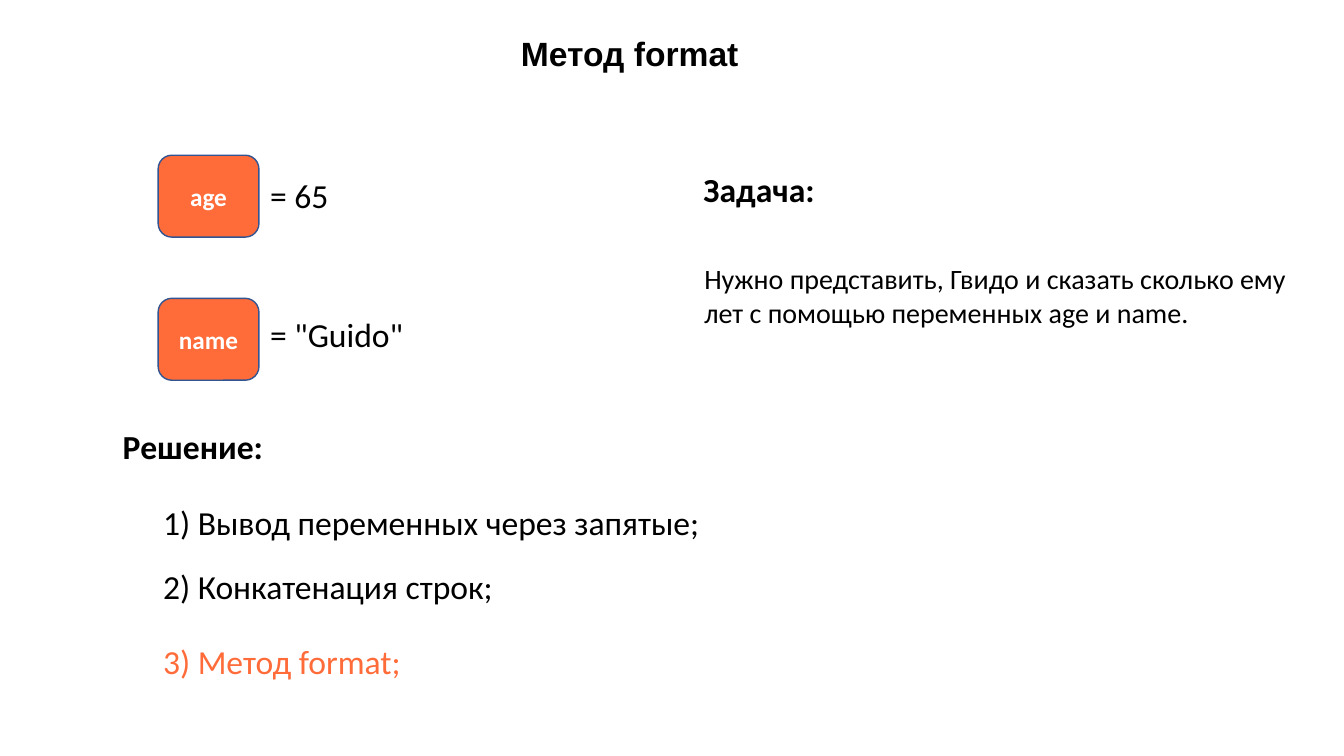
from pptx import Presentation
from pptx.dml.color import RGBColor
from pptx.enum.shapes import MSO_SHAPE as Shape
from pptx.enum.text import MSO_ANCHOR as Anchor, PP_ALIGN as Align
from pptx.util import Pt

BLACK = RGBColor(0x00, 0x00, 0x00)
WHITE = RGBColor(0xFF, 0xFF, 0xFF)
ORANGE = RGBColor(0xFF, 0x6C, 0x3A)
BLUE = RGBColor(0x32, 0x54, 0x91)

# Content: labels are (text, left, top, width)
TITLE = ("Метод format", 365, 20.2, 184.3)
HEADINGS = [("Задача:", 495.4, 117.4, 118.8), ("Решение:", 80.6, 301, 118.8)]
TASK = ("Нужно\u00a0представить, Гвидо и сказать сколько ему лет "
        "с помощью\u00a0переменных age и name.")
# Variables: name, value, box top, value top, value width
VARIABLES = [
    ("age", "= 65", 110.9, 121.7, 93.6),
    ("name", '= "Guido"', 213.1, 221, 126.7),
]
# Solutions: text, top, colour
SOLUTIONS = [
    ("1) Вывод переменных через запятые;", 355, BLACK),
    ("2) Конкатенация строк;", 401, BLACK),
    ("3) Метод format;", 454.3, ORANGE),
]

LINE_HEIGHT = 36
BOX_LEFT, BOX_WIDTH, BOX_HEIGHT = 113, 72, 58.5
VALUE_LEFT = 185.8
SOLUTION_LEFT, SOLUTION_WIDTH = 109.4, 413.3

presentation = Presentation()
presentation.slide_width, presentation.slide_height = Pt(960), Pt(540)
slide = presentation.slides.add_slide(presentation.slide_layouts[6])


def write(shape, text, size=24, font="Calibri", color=BLACK, bold=False,
          align=Align.LEFT, anchor=Anchor.TOP):
    frame = shape.text_frame
    frame.word_wrap = True
    frame.vertical_anchor = anchor
    paragraph = frame.paragraphs[0]
    paragraph.alignment = align
    run = paragraph.add_run()
    run.text = text
    run.font.size, run.font.name, run.font.bold = Pt(size), font, bold
    run.font.color.rgb = color


def add_label(text, left, top, width, height=LINE_HEIGHT, **style):
    box = slide.shapes.add_textbox(Pt(left), Pt(top), Pt(width), Pt(height))
    write(box, text, **style)


# Title
add_label(*TITLE, font="Arial", bold=True)

# Variable boxes with their values
for name, value, box_top, value_top, value_width in VARIABLES:
    box = slide.shapes.add_shape(Shape.ROUNDED_RECTANGLE, Pt(BOX_LEFT),
                                 Pt(box_top), Pt(BOX_WIDTH), Pt(BOX_HEIGHT))
    box.shadow.inherit = False
    box.fill.solid()
    box.fill.fore_color.rgb = ORANGE
    box.line.color.rgb = BLUE
    box.line.width = Pt(1)
    write(box, name, size=18, color=WHITE, bold=True,
          align=Align.CENTER, anchor=Anchor.MIDDLE)
    add_label(value, VALUE_LEFT, value_top, value_width)

# Headings and task
for heading in HEADINGS:
    add_label(*heading, bold=True)
add_label(TASK, 496, 183.6, 440, height=55.5, size=20)

# Solutions
for text, top, color in SOLUTIONS:
    add_label(text, SOLUTION_LEFT, top, SOLUTION_WIDTH, color=color)

presentation.save("out.pptx")
